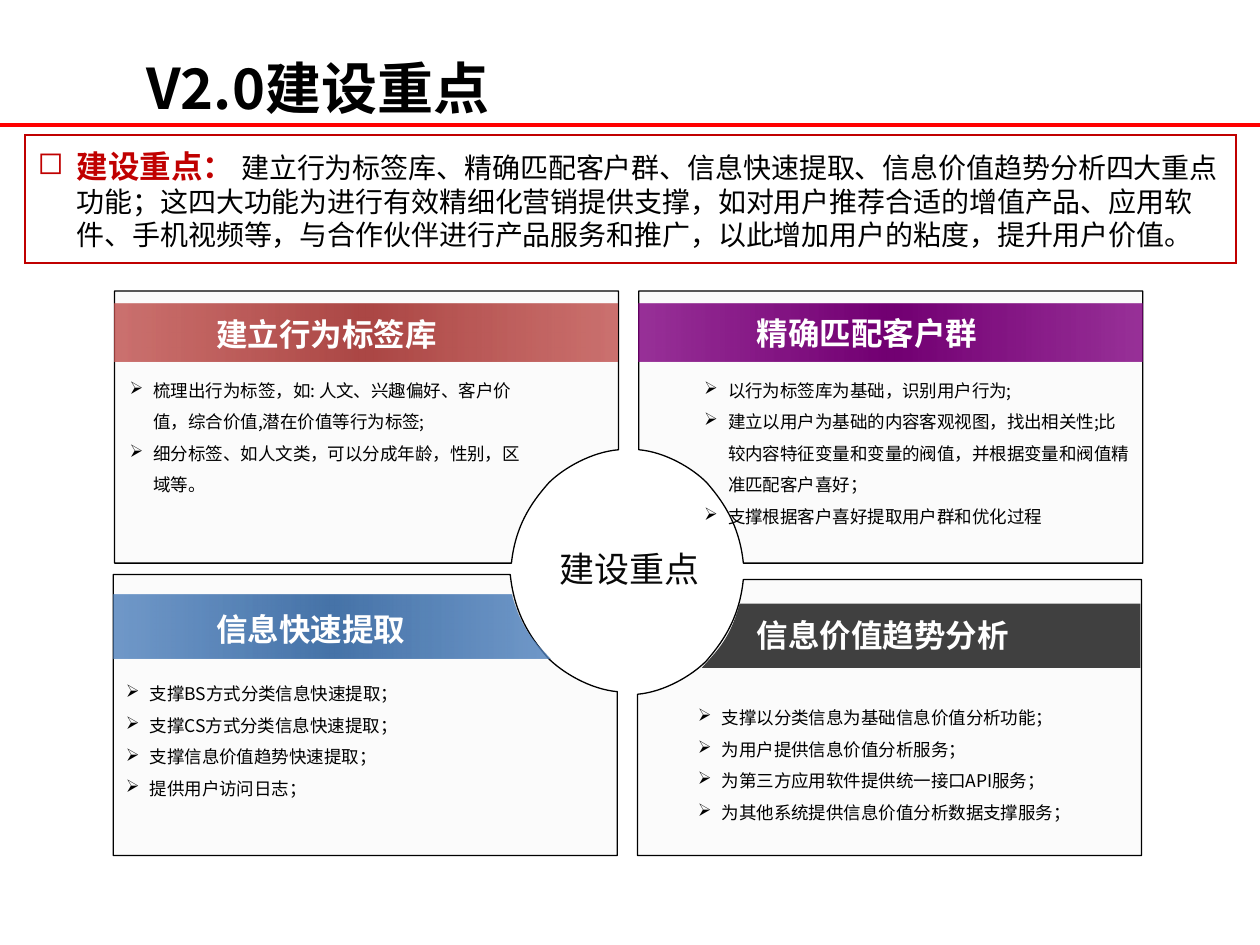
from lxml import etree
from pptx import Presentation
from pptx.dml.color import RGBColor
from pptx.enum import shapes, text
from pptx.oxml.ns import qn
from pptx.util import Inches, Pt

FONT = "Noto Sans CJK SC"
BLACK = RGBColor(0x00, 0x00, 0x00)
WHITE = RGBColor(0xFF, 0xFF, 0xFF)
NEAR_BLACK = RGBColor(0x08, 0x08, 0x08)
RULE_RED = RGBColor(0xFF, 0x00, 0x00)
DARK_RED = RGBColor(0xC0, 0x00, 0x00)
PANEL_GREY = RGBColor(0xF2, 0xF2, 0xF2)
CHARCOAL = RGBColor(0x40, 0x40, 0x40)
# Edge and centre colours of a band, and the opacity of the centre in percent
RED_BAND = (RGBColor(0xC0, 0x50, 0x4D), RGBColor(0xAB, 0x47, 0x45), 100)
PURPLE_BAND = (RGBColor(0x80, 0x00, 0x80), RGBColor(0x72, 0x00, 0x72), 100)
BLUE_BAND = (RGBColor(0x4F, 0x81, 0xBD), RGBColor(0x46, 0x73, 0xA8), 100)

# Bezier points as shares of the way from the start of a curve to its end
QUARTER_CIRCLE = [(0.25, 0.02), (0.51, 0.16), (0.65, 0.29), (0.77, 0.42), (0.96, 0.63), (1, 1)]
BAND_CURVE = [(0.25, 0.55), (0.59, 0.73), (1, 1)]

# Panel: outer x, inner x, far y, near y, then where its arc starts (y) and ends (x)
PANELS = [
    (0.91, 4.91, 2.31, 4.47, 3.57, 4.06),
    (9.07, 5.07, 2.31, 4.47, 3.57, 5.9),
    (0.9, 4.9, 6.79, 4.56, 5.49, 4.05),
    (9.06, 5.06, 6.79, 4.6, 5.51, 5.9),
]
# Upper bands: left, top, width, height
UPPER_BANDS = [((0.91, 2.41, 3.99, 0.46), RED_BAND), ((5.07, 2.41, 4, 0.46), PURPLE_BAND)]
# Lower bands: outer x, top, bottom, x where the curve starts and ends
LOWER_BANDS = [((9.05, 4.79, 5.3, 5.87, 5.57), CHARCOAL),
               ((0.9, 4.72, 5.23, 4.06, 4.37), BLUE_BAND)]

HEADINGS = [("建立行为标签库", 1.62, 2.45), ("信息快速提取", 1.62, 4.79),
            ("精确匹配客户群", 5.91, 2.44), ("信息价值趋势分析", 5.91, 4.84)]
BULLETS = [
    ((0.9, 5.29, 3.62, 1.1),
     ["支撑BS方式分类信息快速提取；", "支撑CS方式分类信息快速提取；",
      "支撑信息价值趋势快速提取；", "提供用户访问日志；"]),
    ((5.44, 5.48, 3.58, 1.1),
     ["支撑以分类信息为基础信息价值分析功能；", "为用户提供信息价值分析服务；",
      "为第三方应用软件提供统一接口API服务；", "为其他系统提供信息价值分析数据支撑服务；"]),
    ((0.93, 2.88, 3.38, 1.35),
     ["梳理出行为标签，如: 人文、兴趣偏好、客户价值，综合价值,潜在价值等行为标签;",
      "细分标签、如人文类，可以分成年龄，性别，区域等。"]),
    ((5.49, 2.88, 3.6, 1.35),
     ["以行为标签库为基础，识别用户行为;",
      "建立以用户为基础的内容客观视图，找出相关性;比较内容特征变量和变量的阀值，并根据变量和阀值精准匹配客户喜好；",
      "支撑根据客户喜好提取用户群和优化过程"]),
]


def style_run(run, size, color, bold=False):
    run.font.name = FONT
    run.font.size = Pt(size)
    run.font.bold = bold
    run.font.color.rgb = color
    etree.SubElement(run.font._element, qn("a:ea"), typeface=FONT)


def add_bullet(paragraph, symbol, color, indent):
    """Add a hanging bullet and keep punctuation inside the right margin."""
    properties = paragraph._p.get_or_add_pPr()
    properties.set("marL", str(Inches(indent)))
    properties.set("indent", str(-Inches(indent)))
    properties.set("hangingPunct", "0")
    bullet_color = etree.SubElement(properties, qn("a:buClr"))
    etree.SubElement(bullet_color, qn("a:srgbClr"), val=str(color))
    etree.SubElement(properties, qn("a:buChar"), char=symbol)


def add_text(slide, box, lines, size, color, bold=False, spacing=None, bullet=None, align=None):
    shape = slide.shapes.add_textbox(*map(Inches, box))
    frame = shape.text_frame
    frame.word_wrap = True
    frame.text = "\n".join(lines)
    for paragraph in frame.paragraphs:
        paragraph.line_spacing = spacing
        paragraph.alignment = align
        if bullet:
            add_bullet(paragraph, bullet, color, 0.19)
        for run in paragraph.runs:
            style_run(run, size, color, bold)


def set_alpha(color_element, percent):
    etree.SubElement(color_element, qn("a:alpha"), val=str(percent * 1000))


def fill_gradient(shape, edge, centre, centre_alpha):
    """Fill from edge colour to centre colour and back, with 80 % opaque edges."""
    shape.fill.gradient()
    shape.fill.gradient_angle = 0
    stops = shape._element.spPr.find(qn("a:gradFill")).find(qn("a:gsLst"))
    for stop in list(stops):
        stops.remove(stop)
    for place, color, alpha in ((0, edge, 80), (50, centre, centre_alpha), (100, edge, 80)):
        stop = etree.SubElement(stops, qn("a:gs"), pos=str(place * 1000))
        set_alpha(etree.SubElement(stop, qn("a:srgbClr"), val=str(color)), alpha)


def add_curved_outline(slide, start, end, curve, corners):
    """Draw a curve from start to end, then straight lines through the corners."""
    (start_x, start_y), (end_x, end_y) = start, end
    points = [(start_x + (end_x - start_x) * x, start_y + (end_y - start_y) * y)
              for x, y in curve]
    builder = slide.shapes.build_freeform(Inches(start_x), Inches(start_y))
    builder.add_line_segments([(Inches(x), Inches(y)) for x, y in points + corners], close=True)
    shape = builder.convert_to_shape()
    shape.shadow.inherit = False
    segments = list(shape._element.iter(qn("a:lnTo")))[:len(curve)]
    for first in range(0, len(curve), 3):
        bezier = etree.Element(qn("a:cubicBezTo"))
        segments[first].addprevious(bezier)
        for segment in segments[first:first + 3]:
            bezier.append(segment[0])
            segment.getparent().remove(segment)
    return shape


def add_panel(slide, outer, inner, far, near, arc_y, arc_x):
    panel = add_curved_outline(slide, (inner, arc_y), (arc_x, near), QUARTER_CIRCLE,
                               [(outer, near), (outer, far), (inner, far)])
    panel.fill.solid()
    panel.fill.fore_color.rgb = PANEL_GREY
    set_alpha(panel._element.spPr.find(qn("a:solidFill"))[0], 30)
    panel.line.color.rgb = BLACK
    panel.line.width = Pt(0.75)


def add_upper_band(slide, box, fill):
    band = slide.shapes.add_shape(shapes.MSO_SHAPE.RECTANGLE, *map(Inches, box))
    band.shadow.inherit = False
    band.line.fill.background()
    fill_gradient(band, *fill)


def add_lower_band(slide, box, fill):
    outer, top, bottom, start, end = box
    band = add_curved_outline(slide, (start, top), (end, bottom), BAND_CURVE,
                              [(outer, bottom), (outer, top)])
    band.line.fill.background()
    if isinstance(fill, RGBColor):
        band.fill.solid()
        band.fill.fore_color.rgb = fill
    else:
        fill_gradient(band, *fill)


def add_title(slide):
    title = slide.shapes.title
    title.left, title.top, title.width, title.height = map(Inches, (1.06, 0, 6.06, 1.01))
    frame = title.text_frame
    frame.text = "V2.0建设重点"
    frame.auto_size = text.MSO_AUTO_SIZE.NONE
    frame.vertical_anchor = text.MSO_ANCHOR.BOTTOM
    frame.paragraphs[0].alignment = text.PP_ALIGN.LEFT
    style_run(frame.paragraphs[0].runs[0], 32, BLACK, True)


def add_title_rule(slide):
    rule = slide.shapes.add_connector(shapes.MSO_CONNECTOR.STRAIGHT, 0, Inches(0.99),
                                      Inches(10), Inches(0.99))
    rule.line.color.rgb = RULE_RED
    rule.line.width = Pt(2.25)
    etree.SubElement(rule._element.spPr, qn("a:effectLst"))


def add_summary(slide):
    box = slide.shapes.add_shape(shapes.MSO_SHAPE.RECTANGLE,
                                 *map(Inches, (0.2, 1.07, 9.61, 1.02)))
    box.shadow.inherit = False
    box.fill.background()
    box.line.color.rgb = DARK_RED
    box.line.width = Pt(1)
    etree.SubElement(box._element.spPr.find(qn("a:ln")), qn("a:miter"), lim="800000")
    box.text_frame.vertical_anchor = text.MSO_ANCHOR.MIDDLE
    paragraph = box.text_frame.paragraphs[0]
    paragraph.alignment = text.PP_ALIGN.LEFT
    add_bullet(paragraph, "◻", DARK_RED, 0.31)
    for words, size, color, bold in (
            ("建设重点： ", 18, DARK_RED, True),
            ("建立行为标签库、精确匹配客户群、信息快速提取、信息价值趋势分析四大重点功能；"
             "这四大功能为进行有效精细化营销提供支撑，如对用户推荐合适的增值产品、应用软件、手机视频等，"
             "与合作伙伴进行产品服务和推广，以此增加用户的粘度，提升用户价值。", 16, BLACK, False)):
        run = paragraph.add_run()
        run.text = words
        style_run(run, size, color, bold)


def main():
    presentation = Presentation()
    presentation.slide_width, presentation.slide_height = Inches(10), Inches(7.5)
    slide = presentation.slides.add_slide(presentation.slide_layouts[5])
    add_title_rule(slide)
    add_title(slide)
    add_summary(slide)
    for panel in PANELS:
        add_panel(slide, *panel)
    for box, fill in UPPER_BANDS:
        add_upper_band(slide, box, fill)
    for box, fill in LOWER_BANDS:
        add_lower_band(slide, box, fill)
    for heading, left, top in HEADINGS:
        add_text(slide, (left, top, 2.47, 0.4), [heading], 18, WHITE, bold=True)
    for box, lines in BULLETS:
        add_text(slide, box, lines, 10, BLACK, spacing=1.5, bullet="➢")
    add_text(slide, (4.18, 4.26, 1.64, 0.47), ["建设重点"], 20, NEAR_BLACK,
             spacing=1.1, align=text.PP_ALIGN.CENTER)
    presentation.save("out.pptx")


if __name__ == "__main__":
    main()
